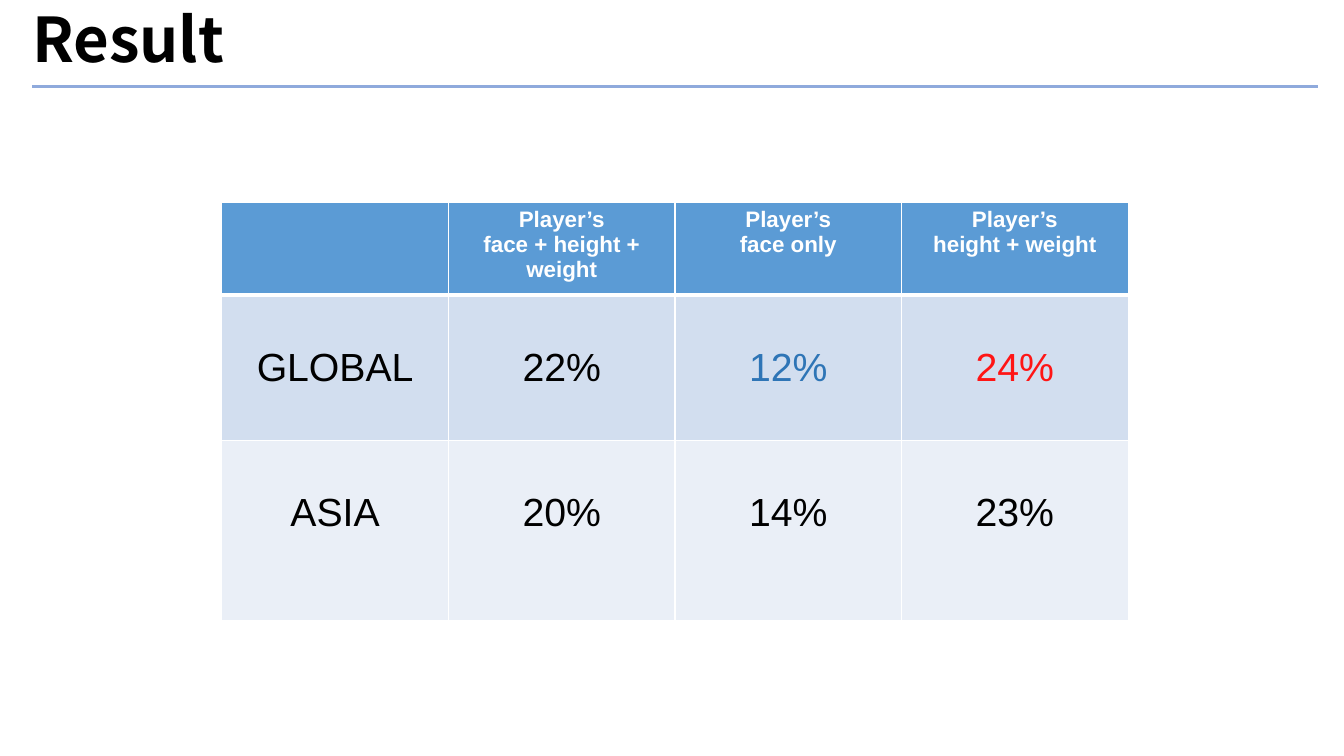
import lxml.etree
import pptx
import pptx.dml.color
import pptx.enum.shapes
import pptx.enum.text
import pptx.oxml.ns
import pptx.util

RGBColor = pptx.dml.color.RGBColor
BLACK = RGBColor(0x00, 0x00, 0x00)
WHITE = RGBColor(0xFF, 0xFF, 0xFF)
RULE_BLUE = RGBColor(0x8F, 0xAA, 0xDC)
HEADER_BLUE = RGBColor(0x5B, 0x9B, 0xD5)
LOW_BLUE = RGBColor(0x2E, 0x75, 0xB6)
HIGH_RED = RGBColor(0xFF, 0x15, 0x15)
ROW_FILLS = (HEADER_BLUE, RGBColor(0xD2, 0xDE, 0xEF), RGBColor(0xEA, 0xEF, 0xF7))

SLIDE_WIDTH = pptx.util.Inches(13.33)
SLIDE_HEIGHT = pptx.util.Inches(7.5)
ROW_HEIGHTS = (0.92, 1.44, 1.79)
VALUE_TOP_MARGIN = pptx.util.Inches(0.5)

RESULTS = (
    ("", "Player’s\nface + height + weight", "Player’s\nface only", "Player’s\nheight + weight"),
    ("GLOBAL", "22%", "12%", "24%"),
    ("ASIA", "20%", "14%", "23%"),
)
HIGHLIGHTS = {"12%": LOW_BLUE, "24%": HIGH_RED}


def write_text(frame, text, size, color=BLACK, bold=False, font="Arial", align="CENTER", spacing=1.0):
    """Fill a text frame with one formatted paragraph per line of text."""
    frame.text = text
    frame.word_wrap = True
    for paragraph in frame.paragraphs:
        paragraph.alignment = getattr(pptx.enum.text.PP_ALIGN, align)
        paragraph.line_spacing = spacing
        paragraph.font.size = pptx.util.Pt(size)
        for run in paragraph.runs:
            run.font.size = pptx.util.Pt(size)
            run.font.name = font
            run.font.bold = bold
            run.font.color.rgb = color


def set_borders(cell, widths):
    """Draw white borders in points, given in the order left, right, top, bottom."""
    properties = cell._tc.get_or_add_tcPr()
    for position, (side, points) in enumerate(zip("LRTB", widths)):
        border = lxml.etree.Element(
            pptx.oxml.ns.qn(f"a:ln{side}"), w=str(int(pptx.util.Pt(points)))
        )
        fill = lxml.etree.SubElement(border, pptx.oxml.ns.qn("a:solidFill"))
        lxml.etree.SubElement(fill, pptx.oxml.ns.qn("a:srgbClr"), val=str(WHITE))
        properties.insert(position, border)


def add_heading(slide, left, top, width, height):
    """Place the slide title, centred vertically in its box."""
    heading = slide.shapes.add_textbox(left, top, width, height).text_frame
    heading.vertical_anchor = pptx.enum.text.MSO_ANCHOR.MIDDLE
    write_text(heading, "Result", 44, bold=True, font="Noto Sans CJK KR", align="LEFT", spacing=0.9)


def add_rule(slide, left, top, width):
    """Draw the horizontal rule under the title."""
    rule = slide.shapes.add_connector(
        pptx.enum.shapes.MSO_CONNECTOR.STRAIGHT, left, top, left + width, top
    )
    rule.line.color.rgb = RULE_BLUE
    rule.line.width = pptx.util.Pt(2.25)
    lxml.etree.SubElement(rule._element.spPr, pptx.oxml.ns.qn("a:effectLst"))


def add_results(slide, left, top, width, height):
    """Place the table of results by region and by input."""
    results = slide.shapes.add_table(
        len(RESULTS), len(RESULTS[0]), left, top, width, height
    ).table
    for column in results.columns:
        column.width = width // len(RESULTS[0])
    for row, share in zip(results.rows, ROW_HEIGHTS):
        row.height = int(height * share / sum(ROW_HEIGHTS))
    for row_index, (values, fill) in enumerate(zip(RESULTS, ROW_FILLS)):
        is_header = row_index == 0
        for column_index, value in enumerate(values):
            cell = results.cell(row_index, column_index)
            cell.fill.solid()
            cell.fill.fore_color.rgb = fill
            set_borders(cell, (1, 1, 3 if row_index == 1 else 1, 3 if is_header else 1))
            if is_header:
                write_text(cell.text_frame, value, 16, color=WHITE, bold=True)
            else:
                cell.margin_top = VALUE_TOP_MARGIN
                write_text(cell.text_frame, value, 28, color=HIGHLIGHTS.get(value, BLACK))


def main():
    """Build and save the result slide."""
    deck = pptx.Presentation()
    deck.slide_width, deck.slide_height = SLIDE_WIDTH, SLIDE_HEIGHT
    slide = deck.slides.add_slide(deck.slide_layouts[6])

    def across(inches):
        return int(SLIDE_WIDTH * inches / 13.33)

    def down(inches):
        return int(SLIDE_HEIGHT * inches / 7.5)

    add_heading(slide, across(0.22), down(-0.3), across(11.5), down(1.45))
    add_rule(slide, across(0.32), down(0.86), across(12.75))
    add_results(slide, across(2.2), down(2.01), across(8.99), down(sum(ROW_HEIGHTS)))
    deck.save("out.pptx")


if __name__ == "__main__":
    main()
